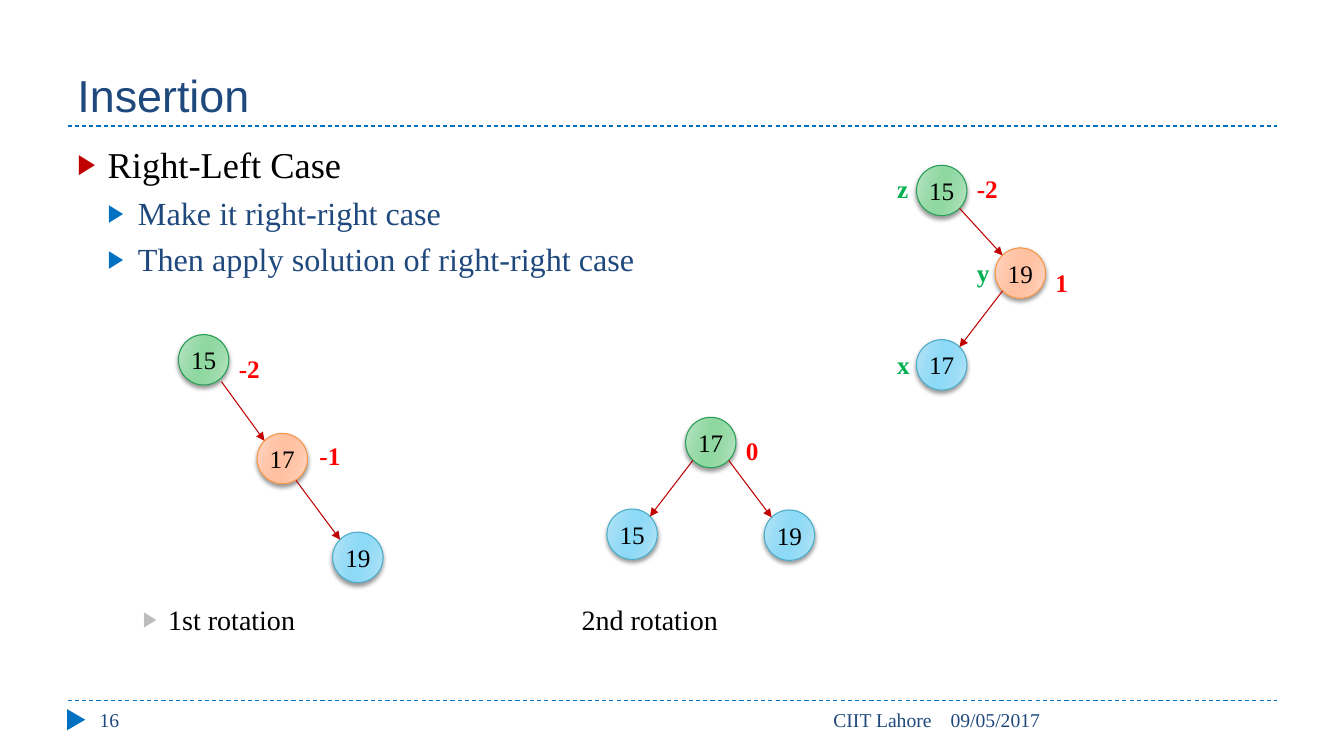
"""Builds a slide on the right-left case of AVL tree insertion."""
from lxml import etree
from pptx import Presentation
from pptx.dml.color import RGBColor
from pptx.enum.dml import MSO_LINE
from pptx.enum.shapes import MSO_CONNECTOR, MSO_SHAPE
from pptx.enum.text import MSO_ANCHOR, MSO_AUTO_SIZE, PP_ALIGN
from pptx.oxml.ns import qn
from pptx.util import Inches, Pt

STRAIGHT = MSO_CONNECTOR.STRAIGHT
DASH = MSO_LINE.DASH
OVAL, TRIANGLE = MSO_SHAPE.OVAL, MSO_SHAPE.ISOSCELES_TRIANGLE
TOP, MIDDLE, BOTTOM = MSO_ANCHOR.TOP, MSO_ANCHOR.MIDDLE, MSO_ANCHOR.BOTTOM
LEFT, CENTER, RIGHT = PP_ALIGN.LEFT, PP_ALIGN.CENTER, PP_ALIGN.RIGHT
FIT = MSO_AUTO_SIZE.SHAPE_TO_FIT_TEXT

THEME = {
    "head_font": "Arial", "body_font": "Times New Roman",
    "navy": "1F497D", "blue": "0070C0", "black": "000000", "edge": "C00000",
    "balance": "FF0000", "name": "00B050", "gray": "BDBDBD",
    "title_size": 32, "level_sizes": (26, 23, 20), "node_size": 18, "footer_size": 14,
    "green": ("279D57", "BBE4C5", "9BDBAB", "8FD8A1"),
    "orange": ("F79646", "FFD7C5", "FFC6AA", "FFC1A1"),
    "cyan": ("4BACC6", "B9E5F7", "99DCF6", "8DD9F6"),
}
LEVEL_COLORS = (("black", "edge"), ("navy", "blue"), ("black", "gray"))
LEVEL_INDENTS = ((0.3, 0.3), (0.6, 0.3), (0.9, 0.25))
GRADIENT_STOPS = ((0, 1), (30, 2), (45, 3), (55, 3), (73, 2), (100, 1))

TITLE = "Insertion"
OUTLINE = [(0, "Right-Left Case"), (1, "Make it right-right case"),
           (1, "Then apply solution of right-right case")]
FIRST_CAPTION = [(2, "1st rotation")]
SECOND_CAPTION = "2nd rotation"
FOOTERS = [("09/05/2017", 9.33, 3.34, LEFT), ("CIIT Lahore", 4.23, 5.11, RIGHT),
           ("16", 0.89, 2.89, LEFT)]
RULES_Y = (1.25, 6.95)

NODE = 0.5
TREES = [
    {"nodes": [("15", "green", 9.09, 1.64), ("19", "orange", 9.87, 2.46),
               ("17", "cyan", 9.09, 3.37)],
     "edges": [(0, 1, 0, 0), (1, 2, 0, 0)],
     "labels": [("-2", "balance", 9.59, 1.67), ("1", "balance", 10.37, 2.6),
                ("z", "name", 8.8, 1.67), ("y", "name", 9.59, 2.5),
                ("x", "name", 8.8, 3.42)]},
    {"nodes": [("15", "green", 1.77, 3.32), ("17", "orange", 2.55, 4.3),
               ("19", "cyan", 3.3, 5.28)],
     "edges": [(0, 1, 0, 0.04), (1, 2, -0.04, 0.04)],
     "labels": [("-2", "balance", 2.27, 3.46), ("-1", "balance", 3.07, 4.32)]},
    {"nodes": [("17", "green", 6.8, 4.14), ("15", "cyan", 6.02, 5.05),
               ("19", "cyan", 7.58, 5.06)],
     "edges": [(0, 1, 0, 0), (0, 2, 0, 0)],
     "labels": [("0", "balance", 7.3, 4.27)]},
]


def rgb(value):
    return RGBColor.from_string(value)


def add_xml(parent, tag, **attrs):
    return etree.SubElement(parent, qn(tag), {k: str(v) for k, v in attrs.items()})


def add_run(p, text, size, color, font=THEME["body_font"], bold=False):
    r = p.add_run()
    r.text = text
    r.font.name, r.font.size, r.font.bold = font, Pt(size), bold
    r.font.color.rgb = rgb(THEME[color])


def add_box(s, left, top, width, height, anchor=TOP, wrap=True):
    tf = s.shapes.add_textbox(*map(Inches, (left, top, width, height))).text_frame
    tf.word_wrap, tf.vertical_anchor = wrap, anchor
    return tf


def add_outline(s, items, top, height):
    tf = add_box(s, 0.67, top, 12, height)
    for i, (level, text) in enumerate(items):
        p = tf.add_paragraph() if i else tf.paragraphs[0]
        p.level = level
        if i:
            p.space_before = Pt(5.5)
        margin, hang = LEVEL_INDENTS[level]
        color, bullet = LEVEL_COLORS[level]
        pPr = p._p.get_or_add_pPr()
        pPr.set("marL", str(Inches(margin)))
        pPr.set("indent", str(-Inches(hang)))
        add_xml(add_xml(pPr, "a:buClr"), "a:srgbClr", val=THEME[bullet])
        add_xml(pPr, "a:buSzPct", val=76000)
        add_xml(pPr, "a:buFont", typeface="Arial")
        add_xml(pPr, "a:buChar", char="▶")
        add_run(p, text, THEME["level_sizes"][level], color)


def add_line(s, start, end, color):
    line = s.shapes.add_connector(STRAIGHT, *map(Inches, (*start, *end)))
    line.line.color.rgb, line.line.width = rgb(THEME[color]), Pt(0.75)
    add_xml(line._element.spPr, "a:effectLst")
    return line


def add_edge(s, parent, child, nudge_x, nudge_y):
    (x1, y1), (x2, y2) = parent[2:], child[2:]
    reach = NODE / 2 * 0.5 ** 0.5
    side = reach if x2 > x1 else -reach
    half = NODE / 2
    line = add_line(s, (x1 + half + side + nudge_x, y1 + half + reach + nudge_y),
                    (x2 + half - side, y2 + half - reach), "edge")
    add_xml(line.line._get_or_add_ln(), "a:tailEnd", type="triangle")


def add_node(s, text, palette, left, top):
    sp = s.shapes.add_shape(OVAL, *map(Inches, (left, top, NODE, NODE)))
    colors = THEME[palette]
    sp.fill.gradient()
    sp.fill.gradient_angle = 344
    stops = sp._element.spPr.find(".//" + qn("a:gsLst"))
    for stop in list(stops):
        stops.remove(stop)
    for pos, shade in GRADIENT_STOPS:
        add_xml(add_xml(stops, "a:gs", pos=pos * 1000), "a:srgbClr", val=colors[shade])
    sp.line.color.rgb, sp.line.width = rgb(colors[0]), Pt(0.75)
    sp.shadow.inherit = False
    shadow = add_xml(sp._element.spPr.find(qn("a:effectLst")), "a:outerShdw",
                     blurRad=Pt(3), dist=Pt(2), dir=5400000, rotWithShape=0)
    add_xml(add_xml(shadow, "a:srgbClr", val=THEME["black"]), "a:alpha", val=40000)
    tf = sp.text_frame
    tf.margin_left = tf.margin_right = 0
    tf.vertical_anchor = MIDDLE
    p = tf.paragraphs[0]
    p.alignment = CENTER
    add_run(p, text, THEME["node_size"], "black")


def add_tree(s, tree):
    nodes = tree["nodes"]
    for node in nodes:
        add_node(s, *node)
    for parent, child, nudge_x, nudge_y in tree["edges"]:
        add_edge(s, nodes[parent], nodes[child], nudge_x, nudge_y)
    for text, color, left, top in tree["labels"]:
        tf = add_box(s, left, top, 0.41 if len(text) > 1 else 0.33, 0.4, wrap=False)
        tf.auto_size = FIT
        add_run(tf.paragraphs[0], text, THEME["node_size"], color, bold=True)


def add_frame(s):
    for y in RULES_Y:
        add_line(s, (0.67, y), (12.67, y), "blue").line.dash_style = DASH
    sp = s.shapes.add_shape(TRIANGLE, *map(Inches, (0.65, 7.05, 0.21, 0.18)))
    sp.rotation = 90
    sp.shadow.inherit = False
    sp.fill.solid()
    sp.fill.fore_color.rgb = rgb(THEME["blue"])
    sp.line.fill.background()
    for text, left, width, align in FOOTERS:
        p = add_box(s, left, 6.97, width, 0.4).paragraphs[0]
        p.alignment = align
        add_run(p, text, THEME["footer_size"], "navy")


def main():
    prs = Presentation()
    prs.slide_width, prs.slide_height = Inches(13.33), Inches(7.5)
    s = prs.slides.add_slide(prs.slide_layouts[6])
    add_frame(s)
    title = add_box(s, 0.67, 0.17, 12, 1.08, BOTTOM)
    add_run(title.paragraphs[0], TITLE, THEME["title_size"], "navy", THEME["head_font"])
    add_outline(s, OUTLINE, 1.36, 1.5)
    add_outline(s, FIRST_CAPTION, 5.93, 0.41)
    caption = add_box(s, 5.67, 5.93, 2, 0.41)
    add_run(caption.paragraphs[0], SECOND_CAPTION, THEME["level_sizes"][2], "black")
    for tree in TREES:
        add_tree(s, tree)
    prs.save("out.pptx")


if __name__ == "__main__":
    main()
